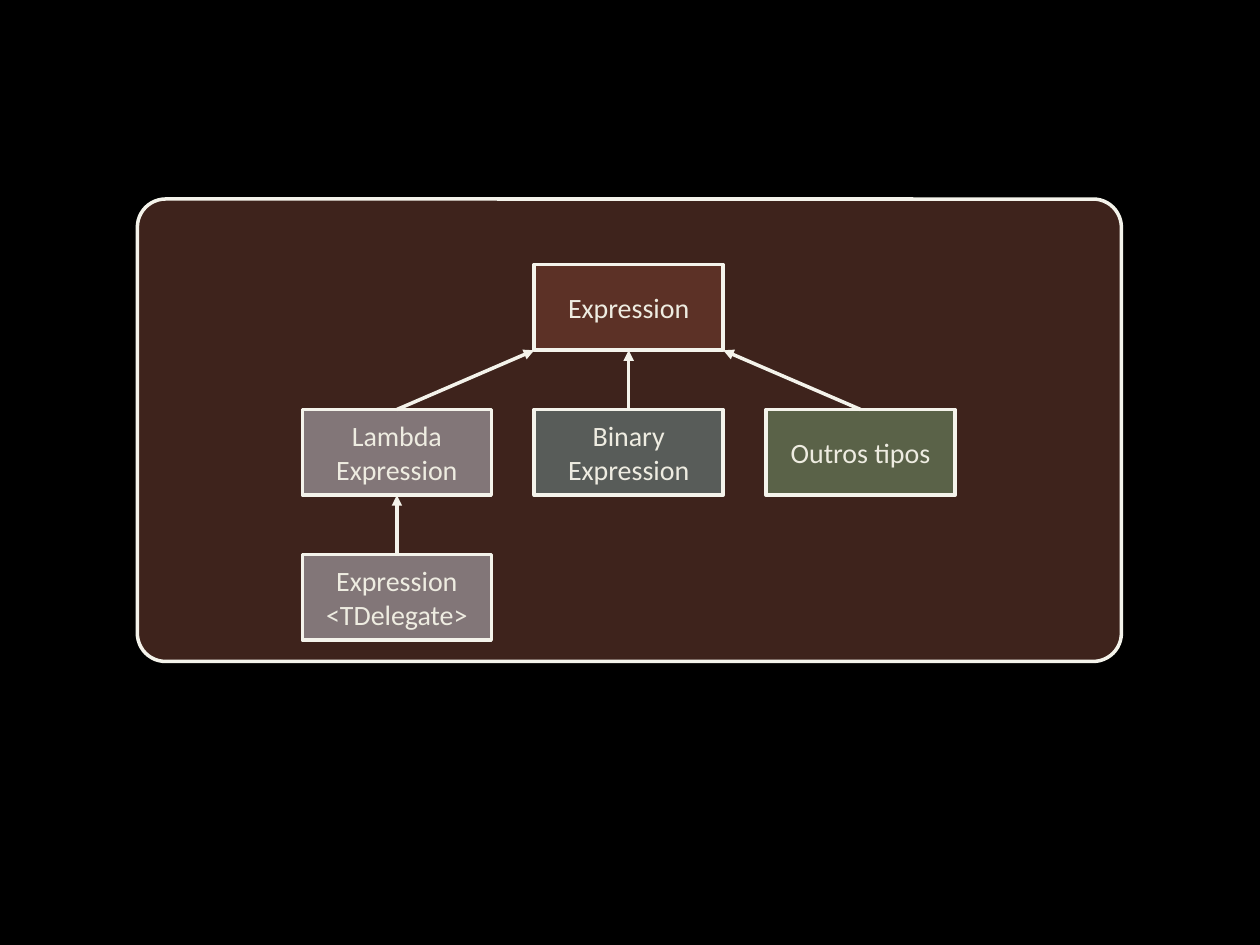
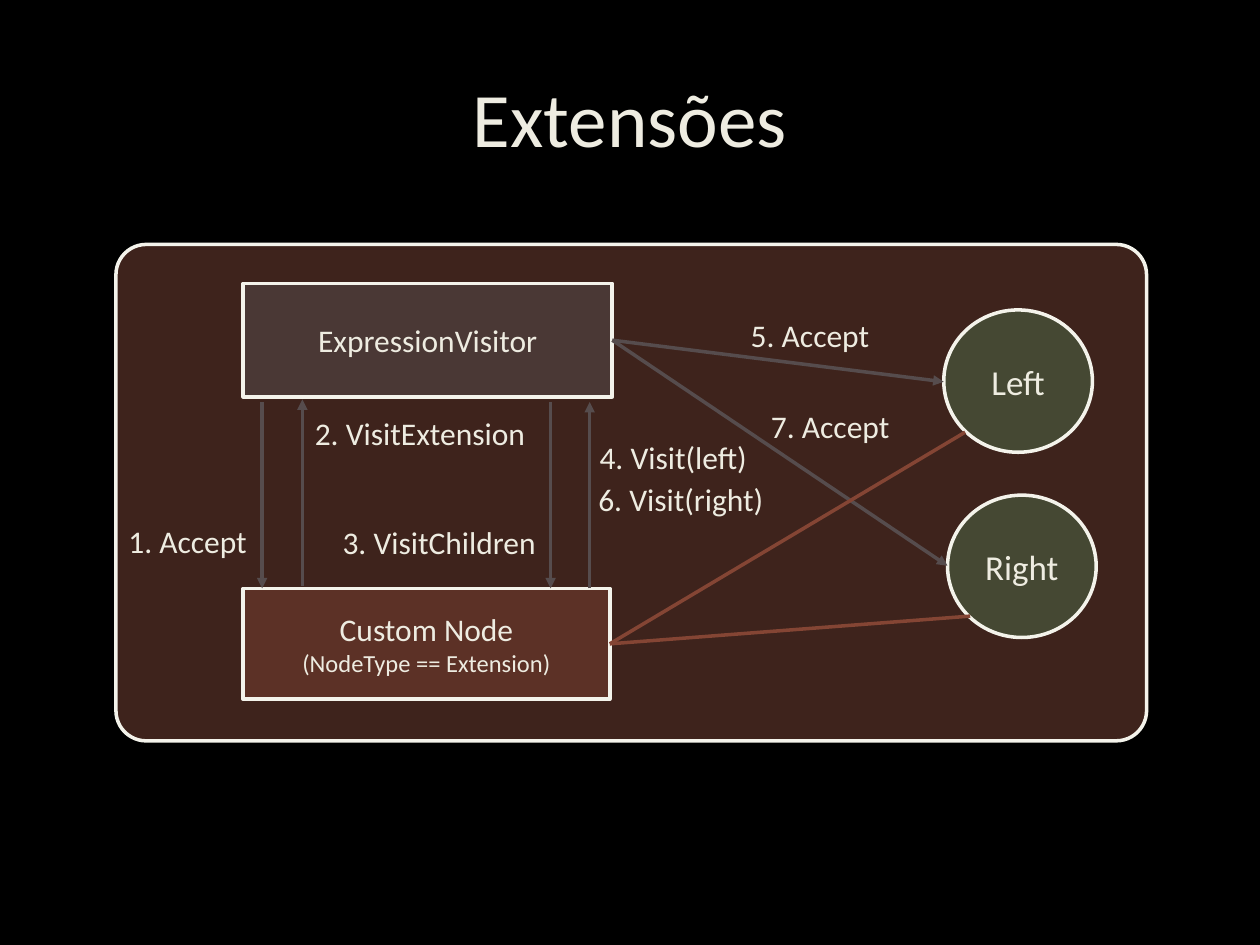
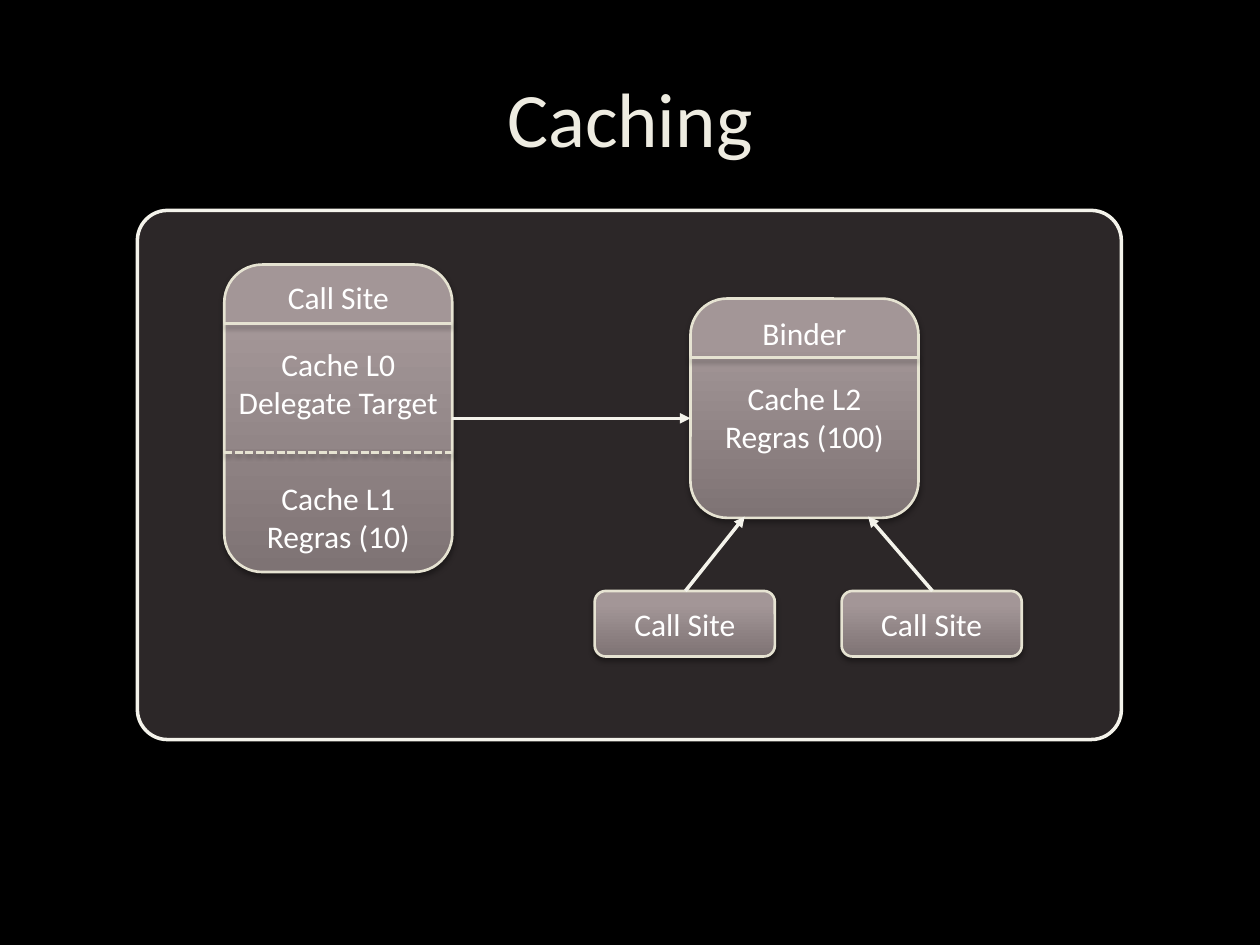
from lxml.etree import SubElement as Sub
from pptx import Presentation
from pptx.dml.color import RGBColor as RGB
from pptx.enum.dml import MSO_LINE as Dash
from pptx.enum.shapes import MSO_CONNECTOR as Conn, MSO_SHAPE as Kind
from pptx.enum.text import MSO_ANCHOR as Anchor, MSO_AUTO_SIZE as Fit, PP_ALIGN as Align
from pptx.oxml.ns import qn
from pptx.util import Inches, Pt

HUES = {
    "back": "000000", "text": "EEECE1", "white": "FFFFFF", "edge": "F4F3EB",
    "trim": "E6E3D2", "clay": "BD6C57", "rust": "844534", "leaf": "759D72",
    "pale": "C1C4CE", "teal": "709292", "moss": "4C6B4A", "slate": "564C4D",
    "low": "7E7374", "high": "A39697",
}
FONT = "Calibri"
TITLE = (0.5, 0.3, 9, 1.25)
INNER = {
    "word_wrap": True, "vertical_anchor": Anchor.MIDDLE,
    "margin_left": 0, "margin_right": 0,
    "margin_top": Inches(0.05), "margin_bottom": Inches(0.05),
}
LOOSE = {"word_wrap": False, "auto_size": Fit.SHAPE_TO_FIT_TEXT}
HEAD = {"word_wrap": True, "vertical_anchor": Anchor.MIDDLE}

TREE = {
    "root": (1, 0, "Expression", "rust", 43),
    "lambda": (0, 1, "Lambda\nExpression", "pale", 52),
    "binary": (1, 1, "Binary\nExpression", "teal", 52),
    "other": (2, 1, "Outros tipos", "leaf", 52),
    "typed": (0, 2, "Expression\n<TDelegate>", "pale", 52),
}
LINKS = [("lambda", "root"), ("binary", "root"), ("other", "root"), ("typed", "lambda")]

PARTS = [
    (Kind.RECTANGLE, (1.93, 2.25, 2.93, 0.9), "ExpressionVisitor", "slate", 52, 18),
    (Kind.RECTANGLE, (1.93, 4.67, 2.91, 0.88),
     "Custom Node\n(NodeType == Extension)", "rust", 43, 18),
    (Kind.OVAL, (7.49, 2.46, 1.18, 1.13), "Left", "moss", 52, 20),
    (Kind.OVAL, (7.52, 3.93, 1.18, 1.13), "Right", "moss", 52, 20),
]
CALLS = [
    ((2.08, 3.19), (2.08, 4.67)), ((2.4, 4.65), (2.4, 3.17)),
    ((4.37, 3.19), (4.37, 4.67)), ((4.68, 4.67), (4.68, 3.19)),
    ((4.86, 2.7), (7.49, 3.03)), ((4.86, 2.7), (7.52, 4.49)),
]
OWNS = [((4.84, 5.11), (7.66, 3.43)), ((4.84, 5.11), (7.7, 4.89))]
STEPS = [
    (0.92, 4.09, 1.15, "1. Accept"), (2.4, 3.24, 1.89, "2. VisitExtension"),
    (2.62, 4.1, 1.75, "3. VisitChildren"), (4.66, 3.43, 1.39, "4. Visit(left)"),
    (5.86, 2.46, 1.15, "5. Accept"), (4.65, 3.76, 1.58, "6. Visit(right)"),
    (6.02, 3.18, 1.15, "7. Accept"),
]

CARDS = [
    ((1.78, 2.1, 1.81, 2.44),
     [(0.06, "Call Site"), (0.59, "Cache L0\nDelegate Target"), (1.65, "Cache L1\nRegras (10)")],
     [(0.47, None), (1.49, Dash.SQUARE_DOT)]),
    ((5.48, 2.37, 1.81, 1.74),
     [(0.07, "Binder"), (0.59, "Cache L2\nRegras (100)")], [(0.47, None)]),
    ((4.72, 4.69, 1.43, 0.52), [(0.06, "Call Site")], []),
    ((6.68, 4.69, 1.43, 0.52), [(0.06, "Call Site")], []),
]
USES = [
    ((3.59, 3.32), (5.48, 3.32)),
    ((5.44, 4.69), (5.91, 4.1)),
    ((7.4, 4.69), (6.89, 4.1)),
]


def hue(name):
    return RGB.from_string(HUES[name])


def units(nums):
    return [Inches(n) for n in nums]


def shade(item, on=False):
    bag = item.element.spPr
    for old in bag.findall(qn("a:effectLst")):
        bag.remove(old)
    group = Sub(bag, qn("a:effectLst"))
    if on:
        drop = Sub(group, qn("a:outerShdw"), blurRad=str(Pt(3.1)), dist=str(Pt(1.8)),
                   dir="5400000", rotWithShape="0")
        tint = Sub(drop, qn("a:srgbClr"), val=HUES["back"])
        Sub(tint, qn("a:alpha"), val="35000")


def write(frame, text, form, size, color="text", align=Align.CENTER, small=None):
    for key, val in form.items():
        setattr(frame, key, val)
    for i, line in enumerate(text.split("\n")):
        para = frame.add_paragraph() if i else frame.paragraphs[0]
        para.alignment = align
        run = para.add_run()
        run.text = line
        look = {"name": FONT, "size": Pt(small if i and small else size)}
        for key, val in look.items():
            setattr(run.font, key, val)
        run.font.color.rgb = hue(color)


def label(slide, box, text, form=LOOSE, size=18, **more):
    write(slide.shapes.add_textbox(*units(box)).text_frame, text, form, size, **more)


def block(slide, kind, box, color, alpha, edge="edge", width=2, round=None):
    item = slide.shapes.add_shape(kind, *units(box))
    if round:
        item.adjustments[0] = round
    if color:
        item.fill.solid()
        item.fill.fore_color.rgb = hue(color)
        tint = item.element.spPr.find(qn("a:solidFill"))[0]
        Sub(tint, qn("a:alpha"), val=str(alpha * 1000))
    else:
        item.fill.gradient()
        item.fill.gradient_angle = 90
        for stop, at, name in zip(item.fill.gradient_stops, (0, 0.8), ("low", "high")):
            stop.position = at
            stop.color.rgb = hue(name)
    item.line.color.rgb = hue(edge)
    item.line.width = Pt(width)
    shade(item, not color)
    return item


def link(slide, start, end, color="edge", width=2, arrow=True, dash=None, drop=False):
    item = slide.shapes.add_connector(Conn.STRAIGHT, *units(start + end))
    item.line.color.rgb = hue(color)
    item.line.width = Pt(width)
    if dash:
        item.line.dash_style = dash
    if arrow:
        Sub(item.element.spPr.find(qn("a:ln")), qn("a:tailEnd"), type="triangle")
    shade(item, drop)


def page(deck, panel, color, alpha, round, title=None):
    slide = deck.slides.add_slide(deck.slide_layouts[6])
    slide.background.fill.solid()
    slide.background.fill.fore_color.rgb = hue("back")
    block(slide, Kind.ROUNDED_RECTANGLE, panel, color, alpha, round=round)
    if title:
        label(slide, TITLE, title, HEAD, 44)
    return slide


def types(deck):
    slide = page(deck, (1.09, 1.58, 7.81, 3.67), "clay", 33, 0.061)
    wide, high = 1.5, 0.68
    spots = {}
    for name, (col, row, text, color, alpha) in TREE.items():
        x, y = spots[name] = (2.4 + col * 1.84, 2.1 + row * 1.15)
        item = block(slide, Kind.RECTANGLE, (x, y, wide, high), color, alpha)
        write(item.text_frame, text, INNER, 16)
    for child, base in LINKS:
        (x, y), (left, top) = spots[child], spots[base]
        mid = x + wide / 2
        link(slide, (mid, y), (min(max(mid, left), left + wide), top + high))


def visits(deck):
    slide = page(deck, (0.92, 1.94, 8.18, 3.94), "clay", 33, 0.061, "Extensões")
    for kind, box, text, color, alpha, size in PARTS:
        item = block(slide, kind, box, color, alpha)
        write(item.text_frame, text, INNER, size, small=14)
    for start, end in CALLS:
        link(slide, start, end, "slate")
    for start, end in OWNS:
        link(slide, start, end, "rust", arrow=False)
    for x, y, wide, text in STEPS:
        label(slide, (x, y, wide, 0.4), text, align=Align.LEFT)


def caches(deck):
    slide = page(deck, (1.09, 1.67, 7.81, 4.2), "slate", 52, 0.057, "Caching")
    for box, texts, rules in CARDS:
        x, y, wide, _ = box
        block(slide, Kind.ROUNDED_RECTANGLE, box, None, None, "trim", 1.5)
        for gap, dash in rules:
            link(slide, (x, y + gap), (x + wide, y + gap), "trim", 1.5, False, dash, True)
        for gap, text in texts:
            high = 0.71 if "\n" in text else 0.4
            label(slide, (x, y + gap, wide, high), text, color="white")
    for start, end in USES:
        link(slide, start, end)


def main():
    deck = Presentation()
    deck.slide_width, deck.slide_height = units((10, 7.5))
    for build in (types, visits, caches):
        build(deck)
    deck.save("out.pptx")


if __name__ == "__main__":
    main()
